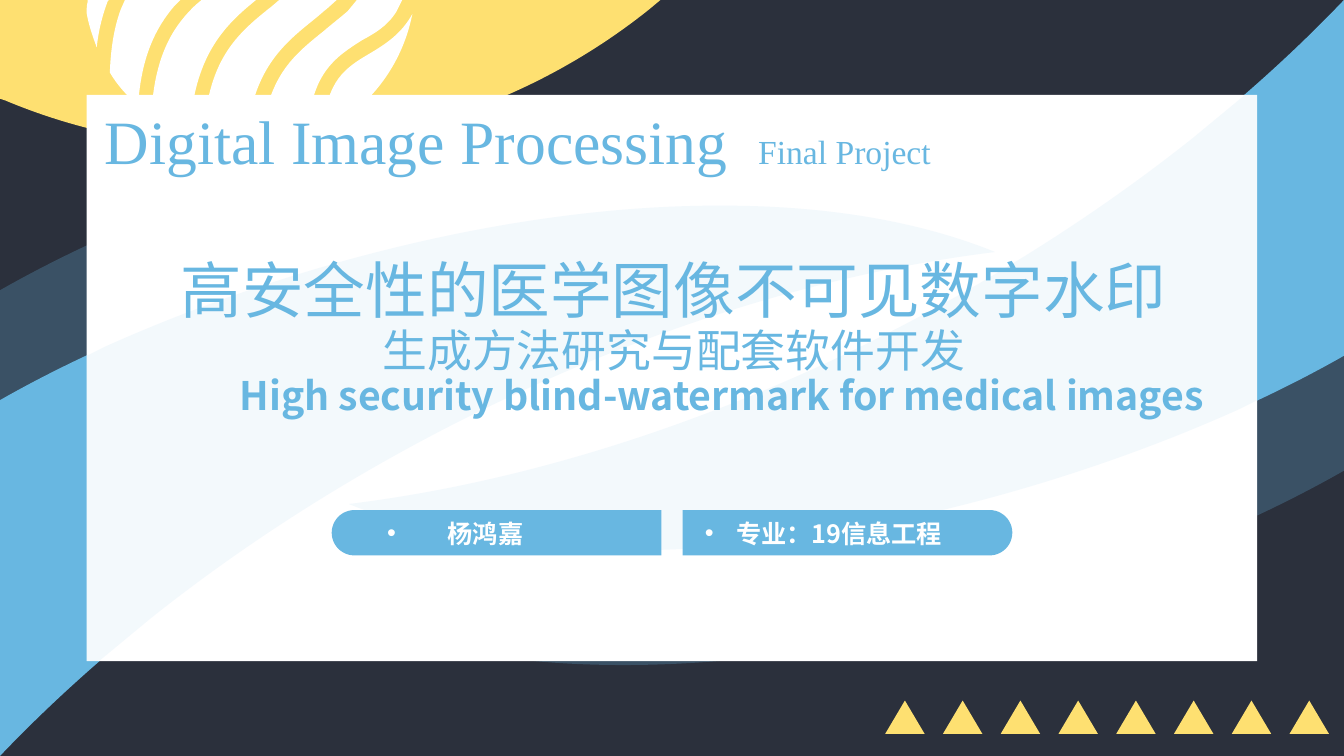
"""Build the title slide of an image processing final project."""
from lxml.etree import SubElement
from pptx import Presentation
from pptx.dml.color import RGBColor
from pptx.enum.shapes import MSO_SHAPE
from pptx.enum.text import MSO_ANCHOR, MSO_AUTO_SIZE, PP_ALIGN
from pptx.oxml.ns import qn
from pptx.util import Inches, Pt

BLUE, YELLOW, WHITE, DARK = "68B7E1", "FEE071", "FFFFFF", "2B303C"
SANS, SERIF = "Noto Sans CJK SC", "Times New Roman"


def paint(shape, color, alpha=100):
    """Fill a shape with a hex colour and drop its line and shadow."""
    shape.shadow.inherit = False
    shape.line.fill.background()
    shape.fill.solid()
    shape.fill.fore_color.rgb = RGBColor.from_string(color)
    if alpha < 100:
        tint = shape.fill._xPr.find(qn("a:solidFill"))[0]
        SubElement(tint, qn("a:alpha"), val=str(alpha * 1000))


def draw(box, parts, color, alpha=100):
    """Draw closed outlines in a box: pairs are corners, sixes are curves."""
    left, top, width, height = [Inches(v) for v in box]
    pen = slide.shapes.build_freeform(left, top)
    pen.add_line_segments([(left + width, top), (left + width, top + height),
                           (left, top + height)])
    shape = pen.convert_to_shape()
    track = next(shape._element.iter(qn("a:path")))
    for node in list(track):
        track.remove(node)
    for part in parts:
        for i, step in enumerate(part):
            kind = "a:moveTo" if i == 0 else "a:lnTo" if len(step) == 2 else "a:cubicBezTo"
            node = SubElement(track, qn(kind))
            for x, y in zip(step[::2], step[1::2]):
                SubElement(node, qn("a:pt"), x=str(Inches(x) - left), y=str(Inches(y) - top))
        SubElement(track, qn("a:close"))
    paint(shape, color, alpha)


deck = Presentation()
deck.slide_width, deck.slide_height = Inches(13.33), Inches(7.5)
slide = deck.slides.add_slide(deck.slide_layouts[3])
shapes = slide.shapes
title, name, major = list(slide.placeholders)

WAVE = [(0, 3.97), (2.56, 2.51, 7.04, 1.37, 9.87, 2.5), (6.26, 2.94, 2.42, 4.96, 0, 7.5)]
PALE = [(7.17, 2.04), (8.15, 2.04, 9.08, 2.18, 9.87, 2.5),
        (6.94, 2.86, 3.85, 4.26, 1.5, 6.13), (0.98, 6.56), (0.86, 6.56),
        (0.86, 3.53), (1.04, 3.44), (2.82, 2.64, 5.11, 2.03, 7.17, 2.04)]
SUN = [(0, 0), (6.55, 0), (6.43, 0.1), (5.35, 0.96, 3.98, 1.47, 2.47, 1.47),
       (1.62, 1.47, 0.8, 1.31, 0.06, 1), (0, 0.98)]
BANDS = [
    [(4.09, 0.14), (3.99, 0.65, 3.66, 1.08, 3.21, 1.3),
     (3.23, 0.8, 3.43, 0.67, 3.67, 0.53), (3.82, 0.44, 3.98, 0.34, 4.09, 0.14)],
    [(3.54, 0), (3.99, 0), (3.93, 0.12), (3.84, 0.26, 3.72, 0.33, 3.59, 0.4),
     (3.34, 0.56, 3.06, 0.73, 3.06, 1.37), (2.91, 1.42, 2.75, 1.46, 2.59, 1.47),
     (2.63, 0.77, 2.91, 0.55, 3.21, 0.31), (3.29, 0.24, 3.37, 0.18, 3.45, 0.11)],
    [(2.77, 0), (3.34, 0), (3.24, 0.09), (3.2, 0.12, 3.16, 0.16, 3.12, 0.19),
     (2.81, 0.44, 2.48, 0.7, 2.44, 1.47), (2.3, 1.47, 2.15, 1.45, 2.02, 1.41),
     (2.04, 0.59, 2.36, 0.33, 2.7, 0.06)],
    [(2, 0), (2.54, 0), (2.48, 0.05), (2.18, 0.3, 1.91, 0.62, 1.88, 1.36),
     (1.74, 1.31, 1.62, 1.24, 1.5, 1.16), (1.53, 0.56, 1.71, 0.27, 1.94, 0.05)],
    [(1.24, 0), (1.79, 0), (1.73, 0.06), (1.55, 0.27, 1.4, 0.56, 1.37, 1.05),
     (1.26, 0.95, 1.16, 0.84, 1.09, 0.72), (1.1, 0.45, 1.14, 0.25, 1.2, 0.09)],
    [(0.87, 0), (1.08, 0), (1.07, 0.01), (1.02, 0.14, 0.98, 0.29, 0.96, 0.47),
     (0.92, 0.36, 0.88, 0.25, 0.86, 0.13), (0.86, 0.09, 0.86, 0.05, 0.87, 0.02)],
]

back = shapes.add_shape(MSO_SHAPE.RECTANGLE, 0, 0, deck.slide_width, deck.slide_height)
paint(back, DARK)

for turn, shift, alpha in [(0, -1.09, 25), (1, 1.14, 25), (0, 0, 100), (1, 0, 100)]:
    wave = []
    for step in WAVE:
        flat = [s - v if turn else v for v, s in zip(step, (13.33, 7.5) * 3)]
        wave.append([v + shift * (i % 2) for i, v in enumerate(flat)])
    left, top = (3.46, 0) if turn else (0, 2.04)
    draw((left, top + shift, 9.87, 5.46), [wave], BLUE, alpha)

draw((0, 0, 6.55, 1.47), [SUN], YELLOW)
draw((0.86, 0, 3.23, 1.47), BANDS, WHITE)
card = shapes.add_shape(MSO_SHAPE.RECTANGLE, Inches(0.86), Inches(0.94),
                        Inches(11.61), Inches(5.62))
paint(card, WHITE)
draw((0.86, 2.04, 9.01, 4.52), [PALE], BLUE, 8)
flip = [[s - v for v, s in zip(step, (13.33, 7.5) * 3)] for step in PALE]
draw((3.46, 0.94, 9.01, 4.52), [flip], BLUE, 8)

for i in range(8):
    peak = shapes.add_shape(MSO_SHAPE.ISOSCELES_TRIANGLE, Inches(8.78 + 4.01 * i / 7),
                            Inches(6.95), Inches(0.39), Inches(0.33))
    paint(peak, YELLOW)

for left, angle in [(4.7, 270), (8.18, 90)]:
    pill = shapes.add_shape(MSO_SHAPE.ROUND_2_SAME_RECTANGLE, Inches(left), Inches(3.65),
                            Inches(0.45), Inches(3.27))
    pill.adjustments[0], pill.adjustments[1] = 0.5, 0
    pill.rotation = angle
    paint(pill, BLUE)

for holder in (name, major):
    shapes._spTree.append(holder._element)
course = shapes.add_textbox(0, 0, 0, 0)
shapes._spTree.append(title._element)
motto = shapes.add_textbox(0, 0, 0, 0)

TEXTS = [
    (name, (3.84, 5.14, 2.5, 0.3), "杨鸿嘉", [18], SANS, WHITE),
    (major, (6.99, 5.14, 2.5, 0.3), "专业：19信息工程", [18], SANS, WHITE),
    (course, (1.04, 1.02, 12.63, 0.74), "Digital Image Processing\t", [44, 24], SERIF, BLUE),
    (title, (0.37, 2.46, 12.63, 1.28), "高安全性的医学图像不可见数字水印\n生成方法研究与配套软件开发",
     [44, 32], SERIF, BLUE),
    (motto, (2.28, 3.63, 10.73, 0.57), "High security blind-watermark for medical images",
     [28], SANS, BLUE),
]
for shape, box, words, sizes, face, color in TEXTS:
    shape.left, shape.top, shape.width, shape.height = [Inches(v) for v in box]
    frame = shape.text_frame
    frame.text = words
    frame.word_wrap = True
    frame.auto_size = MSO_AUTO_SIZE.NONE
    frame.vertical_anchor = MSO_ANCHOR.MIDDLE if shape in (motto, course) else MSO_ANCHOR.BOTTOM
    if shape is not motto:
        frame.margin_left = frame.margin_right = frame.margin_top = frame.margin_bottom = 0
    if shape is course:
        frame.paragraphs[0].add_run().text = "Final Project"
        tabs = SubElement(frame.paragraphs[0]._p.get_or_add_pPr(), qn("a:tabLst"))
        SubElement(tabs, qn("a:tab"), pos=str(Inches(6.48)), algn="l")
    for para, size in zip(frame.paragraphs, sizes):
        para.space_before = Pt(0)
        para.alignment = PP_ALIGN.CENTER if shape is title else PP_ALIGN.LEFT
        if shape is title:
            para.line_spacing = Pt(size * 1.15)
    runs = [run for para in frame.paragraphs for run in para.runs]
    for run, size in zip(runs, sizes):
        run.font.size = Pt(size)
        run.font.name = face
        run.font.bold = face == SANS
        run.font.color.rgb = RGBColor.from_string(color)
        SubElement(run._r.get_or_add_rPr(), qn("a:ea"), typeface=SANS)

for holder, dent in [(name, 0.6), (major, 0.31)]:
    rule = holder.text_frame.paragraphs[0]._p.get_or_add_pPr()
    rule.set("marL", str(Inches(dent)))
    rule.set("indent", str(-Inches(dent)))
    SubElement(rule, qn("a:buChar"), char="•")

deck.save("out.pptx")
